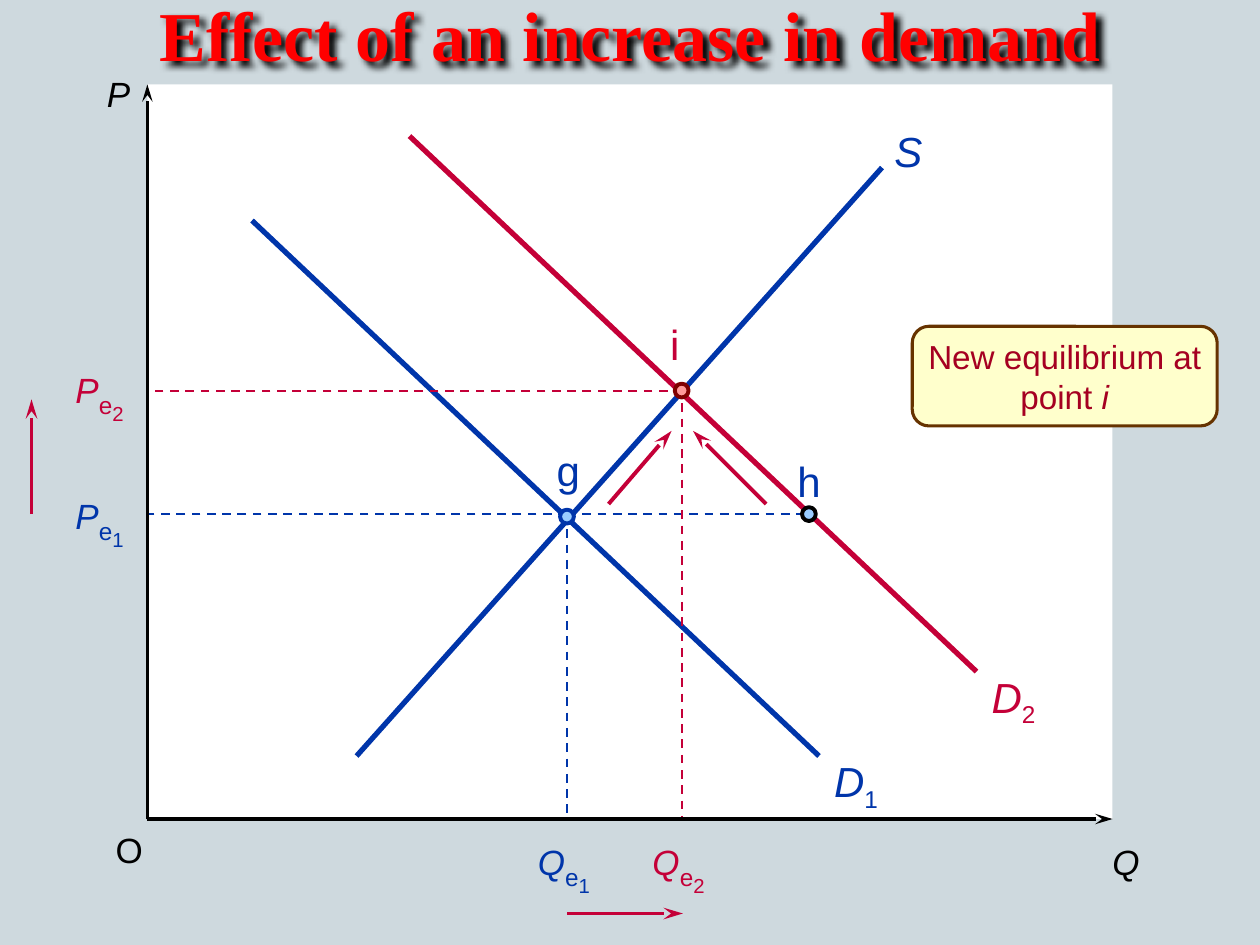
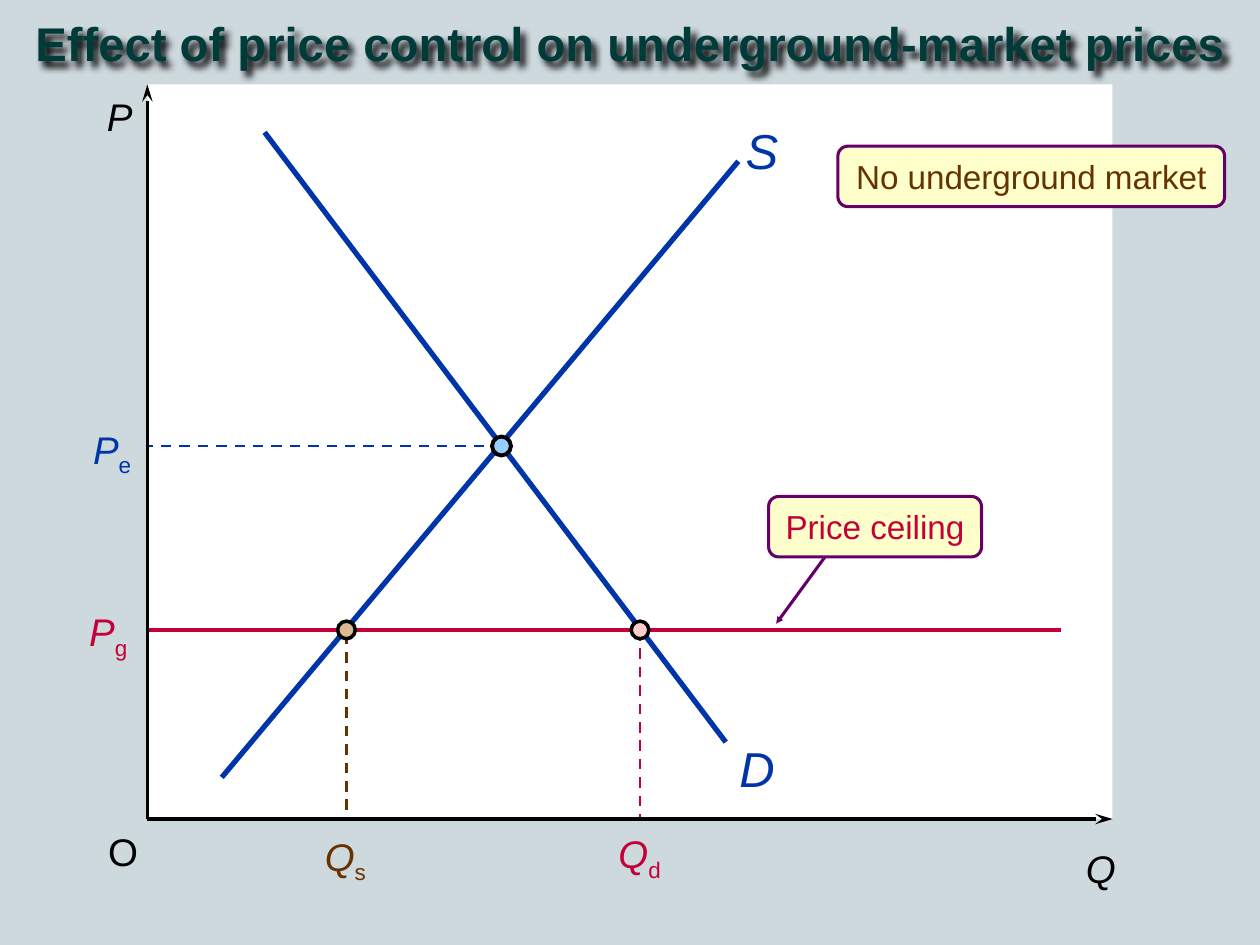
"""Build two supply-and-demand diagram slides."""
from dataclasses import dataclass

from lxml.etree import SubElement
from pptx import Presentation
from pptx.dml.color import RGBColor
from pptx.enum.dml import MSO_LINE
from pptx.enum.shapes import MSO_CONNECTOR, MSO_SHAPE
from pptx.enum.text import MSO_ANCHOR, MSO_AUTO_SIZE, PP_ALIGN
from pptx.oxml.ns import qn
from pptx.presentation import Presentation as Deck
from pptx.slide import Slide
from pptx.text.text import TextFrame
from pptx.util import Inches, Pt


@dataclass(frozen=True)
class Theme:
    """Colours, fonts and type sizes used on both slides."""
    background: str = "CED9DE"
    panel: str = "FFFFFF"
    ink: str = "000000"
    blue: str = "0035AA"
    red: str = "C40038"
    brown: str = "663300"
    purple: str = "660066"
    maroon: str = "800000"
    crimson: str = "A50021"
    cream: str = "FFFFCC"
    sky: str = "99CCFF"
    salmon: str = "FF9999"
    pink: str = "FFCCCC"
    tan: str = "DCB894"
    title_red: str = "FF0000"
    title_green: str = "003B3A"
    sans: str = "Arial"
    serif: str = "Times New Roman"
    callout_size: int = 19
    small: int = 20
    medium: int = 22
    large: int = 24
    huge: int = 28


THEME = Theme()
LABEL_HEIGHTS = {THEME.small: 0.43, THEME.medium: 0.47, THEME.large: 0.5, THEME.huge: 0.5}
LEFT, TOP, RIGHT, BOTTOM = 1.17, 0.67, 8.83, 6.5
CURVE, AXIS, ARROW, OUTLINE = 3, 2, 2.25, 1.75


@dataclass(frozen=True)
class Title:
    """Heading text with its place and type."""
    text: str
    top: float
    height: float
    size: int
    color: str
    font: str


@dataclass(frozen=True)
class Line:
    """Straight line, optionally dashed or ending in an arrowhead."""
    start: tuple[float, float]
    end: tuple[float, float]
    color: str
    weight: float
    dashed: bool = False
    arrow: str = ""
    arrow_length: str = "lg"
    arrow_width: str = "med"


@dataclass(frozen=True)
class Label:
    """Symbol with up to two levels of subscript."""
    symbol: str
    left: float
    top: float
    width: float
    size: int
    color: str
    sub: str = ""
    subsub: str = ""
    italic: bool = True
    wrap: bool = False
    centered: bool = False


@dataclass(frozen=True)
class Marker:
    """Round point marked by its centre."""
    x: float
    y: float
    diameter: float
    fill: str
    outline: str
    weight: float = 2.25


@dataclass(frozen=True)
class Callout:
    """Rounded note; its ending may be set in italics."""
    text: str
    left: float
    top: float
    width: float
    height: float
    color: str
    outline: str
    preset: MSO_SHAPE = MSO_SHAPE.ROUNDED_RECTANGLE
    italic_end: str = ""
    wrap: bool = False
    margins: tuple[float, float] = (0.1, 0.05)


@dataclass(frozen=True)
class Diagram:
    """Everything that one slide shows."""
    title: Title
    lines: list[Line]
    labels: list[Label]
    markers: list[Marker]
    callouts: list[Callout]


def rgb(color: str) -> RGBColor:
    """Turn a hex string into a colour."""
    return RGBColor.from_string(color)


def set_margins(frame: TextFrame, across: float = 0.1, down: float = 0.05) -> None:
    """Set the four insets of a text frame."""
    frame.margin_left = frame.margin_right = Inches(across)
    frame.margin_top = frame.margin_bottom = Inches(down)


def add_title(page: Slide, title: Title) -> None:
    """Place the title and give it a soft shadow."""
    box = page.shapes.title
    box.left, box.top = Inches(0), Inches(title.top)
    box.width, box.height = Inches(10), Inches(title.height)
    box.fill.background()
    frame = box.text_frame
    frame.text = title.text
    frame.auto_size = MSO_AUTO_SIZE.SHAPE_TO_FIT_TEXT
    frame.vertical_anchor = MSO_ANCHOR.TOP
    set_margins(frame)
    para = frame.paragraphs[0]
    para.alignment = PP_ALIGN.CENTER
    para.line_spacing = 1.0
    para.font.name, para.font.size, para.font.bold = title.font, Pt(title.size), True
    para.font.color.rgb = rgb(title.color)
    effects = SubElement(box.element.spPr, qn("a:effectLst"))
    shadow = SubElement(effects, qn("a:outerShdw"), blurRad=str(Pt(4)), dist=str(Pt(4)),
                        dir="2700000", algn="tl", rotWithShape="0")
    SubElement(shadow, qn("a:srgbClr"), val=THEME.ink)


def add_line(page: Slide, line: Line) -> None:
    """Draw a straight line or arrow."""
    points = [Inches(value) for value in (*line.start, *line.end)]
    connector = page.shapes.add_connector(MSO_CONNECTOR.STRAIGHT, *points)
    connector.line.color.rgb = rgb(line.color)
    connector.line.width = Pt(line.weight)
    if line.dashed:
        connector.line.dash_style = MSO_LINE.DASH
    if line.arrow:
        SubElement(connector.line._get_or_add_ln(), qn("a:tailEnd"), type=line.arrow,
                   w=line.arrow_width, len=line.arrow_length)
    SubElement(connector.element.spPr, qn("a:effectLst"))


def add_filled(page: Slide, preset: MSO_SHAPE, place: tuple[float, ...], fill: str,
               outline: str = "", weight: float = 0):
    """Draw a flat preset shape."""
    shape = page.shapes.add_shape(preset, *(Inches(value) for value in place))
    shape.shadow.inherit = False
    shape.fill.solid()
    shape.fill.fore_color.rgb = rgb(fill)
    if outline:
        shape.line.color.rgb = rgb(outline)
        shape.line.width = Pt(weight)
    else:
        shape.line.fill.background()
    return shape


def add_label(page: Slide, label: Label) -> None:
    """Write a symbol with its subscripts."""
    place = (label.left, label.top, label.width, LABEL_HEIGHTS[label.size])
    frame = page.shapes.add_textbox(*(Inches(value) for value in place)).text_frame
    frame.word_wrap = label.wrap
    frame.auto_size = MSO_AUTO_SIZE.SHAPE_TO_FIT_TEXT
    set_margins(frame)
    para = frame.paragraphs[0]
    para.alignment = PP_ALIGN.CENTER if label.centered else PP_ALIGN.LEFT
    para.font.name = THEME.sans
    para.font.color.rgb = rgb(label.color)
    sub_size = THEME.large if label.subsub else label.size
    parts = ((label.symbol, label.size, 0), (label.sub, sub_size, -25000),
             (label.subsub, label.size, -50000))
    for text, size, baseline in parts:
        if text:
            span = para.add_run()
            span.text = text
            span.font.size = Pt(size)
            span.font.italic = label.italic and not baseline
            if baseline:
                span.font._element.set("baseline", str(baseline))


def add_marker(page: Slide, marker: Marker) -> None:
    """Draw a point on the diagram."""
    radius = marker.diameter / 2
    place = (marker.x - radius, marker.y - radius, marker.diameter, marker.diameter)
    add_filled(page, MSO_SHAPE.OVAL, place, marker.fill, marker.outline, marker.weight)


def add_callout(page: Slide, callout: Callout) -> None:
    """Draw a rounded note with centred text."""
    place = (callout.left, callout.top, callout.width, callout.height)
    box = add_filled(page, callout.preset, place, THEME.cream, callout.outline, OUTLINE)
    frame = box.text_frame
    frame.word_wrap = callout.wrap
    frame.auto_size = MSO_AUTO_SIZE.SHAPE_TO_FIT_TEXT
    frame.vertical_anchor = MSO_ANCHOR.MIDDLE
    set_margins(frame, *callout.margins)
    para = frame.paragraphs[0]
    para.alignment = PP_ALIGN.CENTER
    para.font.name, para.font.size = THEME.sans, Pt(THEME.callout_size)
    para.font.color.rgb = rgb(callout.color)
    para.add_run().text = callout.text
    if callout.italic_end:
        span = para.add_run()
        span.text = callout.italic_end
        span.font.italic = True


def add_diagram(deck: Deck, diagram: Diagram) -> None:
    """Add one slide with its panel, axes and contents."""
    page = deck.slides.add_slide(deck.slide_layouts[5])
    add_title(page, diagram.title)
    add_filled(page, MSO_SHAPE.RECTANGLE, (LEFT, TOP, RIGHT - LEFT, BOTTOM - TOP), THEME.panel)
    axes = [Line((LEFT, BOTTOM), end, THEME.ink, AXIS, arrow="stealth")
            for end in ((RIGHT, BOTTOM), (LEFT, TOP))]
    for line in diagram.lines + axes:
        add_line(page, line)
    for label in diagram.labels:
        add_label(page, label)
    for marker in diagram.markers:
        add_marker(page, marker)
    for callout in diagram.callouts:
        add_callout(page, callout)


def demand_increase() -> Diagram:
    """Describe the shift from the first demand curve to the second."""
    t = THEME
    curves = [Line((2.83, 6), (7, 1.33), t.blue, CURVE), Line((2, 1.75), (6.5, 6), t.blue, CURVE),
              Line((3.25, 1.08), (7.75, 5.33), t.red, CURVE)]
    guides = [Line(start, end, color, 1.25, dashed=True) for start, end, color in (
        ((4.5, 4.08), (LEFT, 4.08), t.blue), ((4.5, 4.08), (4.5, BOTTOM), t.blue),
        ((4.5, 4.08), (6.42, 4.08), t.blue), ((5.41, 3.08), (5.41, BOTTOM), t.red),
        ((5.42, 3.1), (LEFT, 3.1), t.red))]
    moves = [Line(start, end, t.red, ARROW, arrow="stealth") for start, end in (
        ((0.25, 4.08), (0.25, 3.17)), ((4.5, 7.25), (5.42, 7.25)),
        ((4.83, 4), (5.33, 3.42)), ((6.08, 4), (5.5, 3.42)))]
    axis_labels = [Label("P", 0.75, 0.53, 0.37, t.small, t.ink, wrap=True),
                   Label("Q", 8.73, 6.62, 0.42, t.small, t.ink),
                   Label("O", 0.82, 6.53, 0.42, t.small, t.ink, italic=False)]
    equilibria = [Label(symbol, left, top, 0.75, t.small, color, "e", number, wrap=True)
                  for symbol, left, top, color, number in (
                      ("P", 0.5, 3.82, t.blue, "1"), ("Q", 4.17, 6.57, t.blue, "1"),
                      ("P", 0.5, 2.82, t.red, "2"), ("Q", 5.08, 6.57, t.red, "2"))]
    curve_labels = [Label("S", 7, 0.95, 0.42, t.large, t.blue, centered=True),
                    Label("D", 6.51, 5.95, 0.57, t.large, t.blue, "1", centered=True),
                    Label("D", 7.76, 5.28, 0.57, t.large, t.red, "2", centered=True)]
    points = [Label(name, left, top, width, t.large, color, italic=False)
              for name, left, top, width, color in (
                  ("g", 4.32, 3.48, 0.39, t.blue), ("h", 6.23, 3.57, 0.39, t.blue),
                  ("i", 5.22, 2.48, 0.28, t.red))]
    markers = [Marker(6.42, 4.08, 0.11, t.sky, t.ink), Marker(4.5, 4.1, 0.11, t.sky, t.blue),
               Marker(5.41, 3.1, 0.11, t.salmon, t.maroon)]
    note = Callout("New equilibrium at point ", 7.24, 2.59, 2.42, 0.79, t.crimson, t.brown,
                   MSO_SHAPE.FLOWCHART_ALTERNATE_PROCESS, "i", True, (0.06, 0.04))
    title = Title("Effect of an increase in demand", -0.12, 0.77, 40, t.title_red, t.serif)
    return Diagram(title, curves + guides + moves,
                   axis_labels + equilibria + curve_labels + points, markers, [note])


def price_control() -> Diagram:
    """Describe the market under a price ceiling."""
    t = THEME
    lines = [Line((2.1, 1.05), (5.76, 5.89), t.blue, CURVE),
             Line((3.99, 3.54), (LEFT, 3.54), t.blue, 1.5, dashed=True),
             Line((LEFT, 5), (8.42, 5), t.red, 2.25),
             Line((2.75, 5.03), (2.75, BOTTOM), t.brown, 1.5, dashed=True),
             Line((5.08, 5), (5.08, BOTTOM), t.red, 1.5, dashed=True),
             Line((1.76, 6.17), (5.86, 1.28), t.blue, CURVE),
             Line((6.65, 4.28), (6.16, 4.95), t.purple, OUTLINE, False, "triangle", "sm", "sm")]
    labels = [Label("P", 0.75, 0.69, 0.54, t.medium, t.ink, wrap=True),
              Label("Q", 8.52, 6.66, 0.55, t.medium, t.ink, wrap=True),
              Label("O", 0.76, 6.52, 0.44, t.medium, t.ink, italic=False),
              Label("P", 0.61, 4.78, 0.52, t.medium, t.red, "g"),
              Label("P", 0.64, 3.33, 0.52, t.medium, t.blue, "e"),
              Label("Q", 2.48, 6.56, 0.54, t.medium, t.brown, "s"),
              Label("Q", 4.81, 6.54, 0.56, t.medium, t.red, "d"),
              Label("D", 5.77, 5.81, 0.44, t.huge, t.blue),
              Label("S", 5.82, 0.91, 0.42, t.huge, t.blue)]
    markers = [Marker(5.08, 5, 0.14, t.pink, t.ink, 2), Marker(3.98, 3.54, 0.15, t.sky, t.ink),
               Marker(2.75, 5, 0.14, t.tan, t.ink, 2)]
    notes = [Callout("Price ceiling", 6.1, 3.94, 1.69, 0.48, t.red, t.purple),
             Callout("No underground market", 6.65, 1.16, 3.07, 0.48, t.brown, t.purple)]
    title = Title("Effect of price control on underground-market prices", 0.06, 0.55, 27,
                  t.title_green, t.sans)
    return Diagram(title, lines, labels, markers, notes)


def main() -> None:
    """Build and save the deck."""
    deck = Presentation()
    deck.slide_width, deck.slide_height = Inches(10), Inches(7.5)
    backdrop = deck.slide_master.background.fill
    backdrop.solid()
    backdrop.fore_color.rgb = rgb(THEME.background)
    for diagram in (demand_increase(), price_control()):
        add_diagram(deck, diagram)
    deck.save("out.pptx")


if __name__ == "__main__":
    main()
